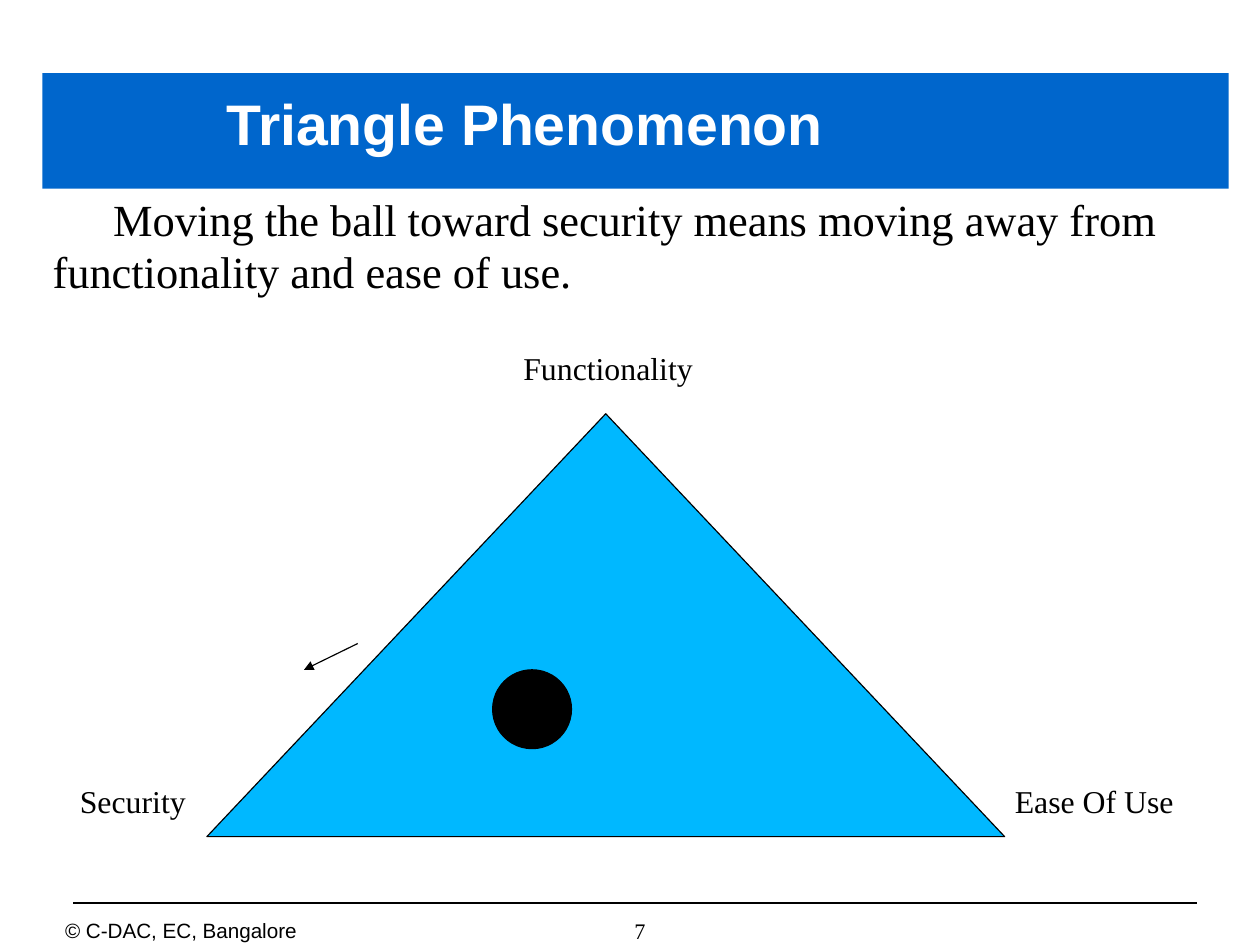
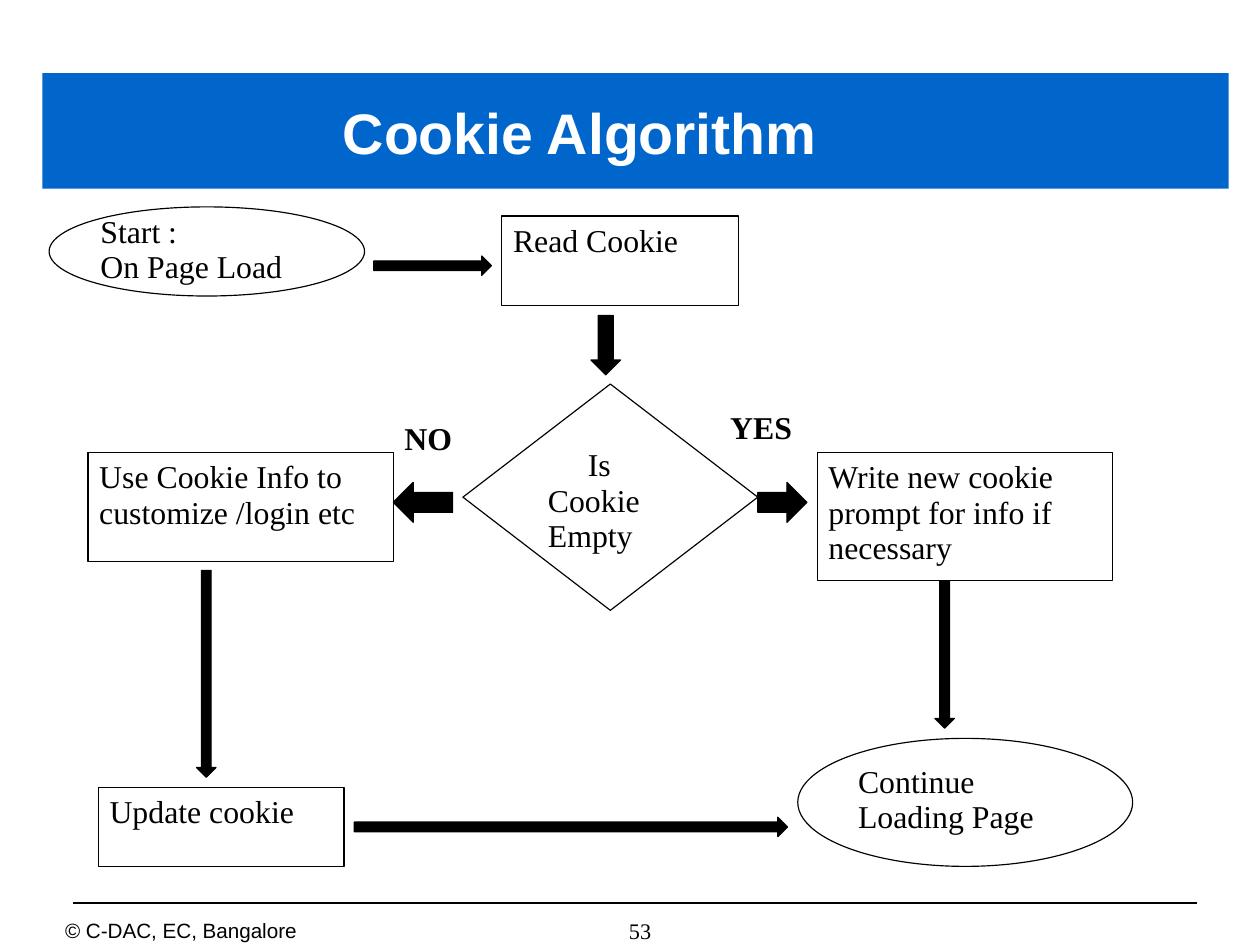
from lxml.etree import SubElement
from pptx import Presentation
from pptx.dml.color import RGBColor
from pptx.enum.shapes import MSO_CONNECTOR, MSO_SHAPE
from pptx.enum.text import MSO_ANCHOR, PP_ALIGN
from pptx.oxml.ns import qn
from pptx.util import Inches, Pt

BLACK = RGBColor(0x00, 0x00, 0x00)
WHITE = RGBColor(0xFF, 0xFF, 0xFF)
BAND_BLUE = RGBColor(0x00, 0x66, 0xCC)
SKY_BLUE = RGBColor(0x00, 0xB8, 0xFF)
SANS = "Arial"
SERIF = "Times New Roman"
CM_PER_INCH = 2.54


def add_text(slide, text, box, shape=None, size=20, font=SERIF, color=BLACK,
             bold=False, align=PP_ALIGN.LEFT, anchor=MSO_ANCHOR.TOP,
             spacing=0.93, indent=0, insets=(0.1, 0.07, 0.1, 0.05)):
    """Write text into the given shape, or into a new text box."""
    if shape is None:
        shape = slide.shapes.add_textbox(*map(Inches, box))
    frame = shape.text_frame
    frame.word_wrap = True
    frame.vertical_anchor = anchor
    (frame.margin_left, frame.margin_top,
     frame.margin_right, frame.margin_bottom) = map(Inches, insets)
    frame.text = text
    for paragraph in frame.paragraphs:
        paragraph.alignment = align
        paragraph.line_spacing = spacing
        if indent:
            properties = paragraph._p.get_or_add_pPr()
            properties.set("marL", "0")
            properties.set("indent", str(Inches(indent)))
        paragraph.font.size = Pt(size)
        paragraph.font.name = font
        paragraph.font.bold = bold
        paragraph.font.color.rgb = color


def add_figure(slide, kind, box, fill=WHITE, outline=BLACK):
    """Draw a preset shape, or a thin line from (x1, y1) to (x2, y2)."""
    if kind is MSO_CONNECTOR.STRAIGHT:
        figure = slide.shapes.add_connector(kind, *map(Inches, box))
    else:
        figure = slide.shapes.add_shape(kind, *map(Inches, box))
        figure.shadow.inherit = False
        figure.fill.solid()
        figure.fill.fore_color.rgb = fill
    if outline is None:
        figure.line.fill.background()
    else:
        figure.line.color.rgb = outline
        figure.line.width = Pt(0.75)
    if kind is MSO_CONNECTOR.STRAIGHT:
        SubElement(figure._element.spPr, qn("a:effectLst"))
    return figure


# Page of 28 by 21 cm
presentation = Presentation()
presentation.slide_width = Inches(28 / CM_PER_INCH)
presentation.slide_height = Inches(21 / CM_PER_INCH)

# Band, title and footer of every slide: title, left, top, page number
slides = []
for title, left, top, page in [
    ("Triangle Phenomenon", 1.89, 0.53, "7"),
    ("Cookie Algorithm", 2.91, 0.61, "53"),
]:
    slide = presentation.slides.add_slide(presentation.slide_layouts[6])
    add_figure(slide, MSO_SHAPE.RECTANGLE, (0.37, 0.64, 10.38, 1.01),
               fill=BAND_BLUE, outline=None)
    add_figure(slide, MSO_CONNECTOR.STRAIGHT, (0.64, 7.9, 10.47, 7.9))
    add_text(slide, "© C-DAC, EC, Bangalore", (0.46, 7.98, 2.85, 0.28),
             size=13, font=SANS, insets=(0.11, 0.07, 0.11, 0))
    add_text(slide, page, (4.32, 7.98, 2.56, 0.28), size=14, spacing=0.98,
             align=PP_ALIGN.CENTER, insets=(0.1, 0.06, 0.1, 0))
    add_text(slide, title, (left, top, 7, 0.9), size=36, font=SANS,
             color=WHITE, bold=True, anchor=MSO_ANCHOR.BOTTOM, spacing=0.87,
             insets=(0.09, 0.11, 0.09, 0.05))
    slides.append(slide)
triangle_slide, cookie_slide = slides

# Triangle: statement, triangle with ball, corner labels
add_text(triangle_slide,
         "Moving the ball toward security means moving away from "
         "functionality and ease of use.",
         (0.37, 1.63, 10.38, 1.1), size=28, spacing=0.97, indent=0.53,
         insets=(0.09, 0.08, 0.09, 0.05))
add_figure(triangle_slide, MSO_SHAPE.ISOSCELES_TRIANGLE,
           (1.81, 3.62, 6.98, 3.7), fill=SKY_BLUE)
add_figure(triangle_slide, MSO_SHAPE.OVAL, (4.31, 5.86, 0.69, 0.69), fill=BLACK)
for corner, left, top, width in [
    ("Functionality", 4.48, 3.01, 1.81),
    ("Security", 0.6, 6.8, 1.29),
    ("Ease Of Use", 8.78, 6.8, 1.98),
]:
    add_text(triangle_slide, corner, (left, top, width, 0.43))

# Direction of the move toward security
direction = add_figure(triangle_slide, MSO_CONNECTOR.STRAIGHT,
                       (3.13, 5.63, 2.66, 5.86))
SubElement(direction._element.spPr.find(qn("a:ln")), qn("a:tailEnd"),
           type="triangle")

# Start, whose label is wider than the oval's own text area
add_figure(cookie_slide, MSO_SHAPE.OVAL, (0.43, 1.81, 2.76, 0.78))
add_text(cookie_slide, "Start :\nOn Page Load", (0.78, 1.81, 2.07, 0.74))

# Flowchart steps: shape, box, text, first-line indent
for kind, box, step, indent in [
    (MSO_SHAPE.RECTANGLE, (7.15, 3.96, 2.58, 1.12),
     "Write new cookie prompt for info if necessary", 0),
    (MSO_SHAPE.RECTANGLE, (0.86, 6.89, 2.15, 0.69), "Update cookie", 0),
    (MSO_SHAPE.RECTANGLE, (0.77, 3.96, 2.67, 0.95),
     "Use Cookie Info to customize /login etc", 0),
    (MSO_SHAPE.RECTANGLE, (4.39, 1.89, 2.07, 0.78), "Read Cookie", 0),
    (MSO_SHAPE.FLOWCHART_DECISION, (4.05, 3.36, 2.58, 1.98),
     "Is Cookie Empty", 0.35),
    (MSO_SHAPE.OVAL, (6.98, 6.46, 2.93, 1.12), "Continue Loading Page", 0),
]:
    figure = add_figure(cookie_slide, kind, box)
    add_text(cookie_slide, step, box, shape=figure, indent=indent)

# Block arrows between the steps
for kind, box in [
    (MSO_SHAPE.RIGHT_ARROW, (3.27, 2.24, 1.03, 0.17)),
    (MSO_SHAPE.DOWN_ARROW, (5.17, 2.76, 0.26, 0.52)),
    (MSO_SHAPE.RIGHT_ARROW, (6.63, 4.22, 0.43, 0.35)),
    (MSO_SHAPE.LEFT_ARROW, (3.44, 4.22, 0.52, 0.35)),
    (MSO_SHAPE.DOWN_ARROW, (1.72, 4.99, 0.17, 1.81)),
    (MSO_SHAPE.DOWN_ARROW, (8.18, 5.08, 0.17, 1.29)),
    (MSO_SHAPE.RIGHT_ARROW, (3.1, 7.15, 3.79, 0.17)),
]:
    add_figure(cookie_slide, kind, box, fill=BLACK)

# Answers of the decision
for answer, left, top in [("NO", 3.44, 3.62), ("YES", 6.29, 3.53)]:
    add_text(cookie_slide, answer, (left, top, 0.86, 0.43), bold=True)

presentation.save("out.pptx")
